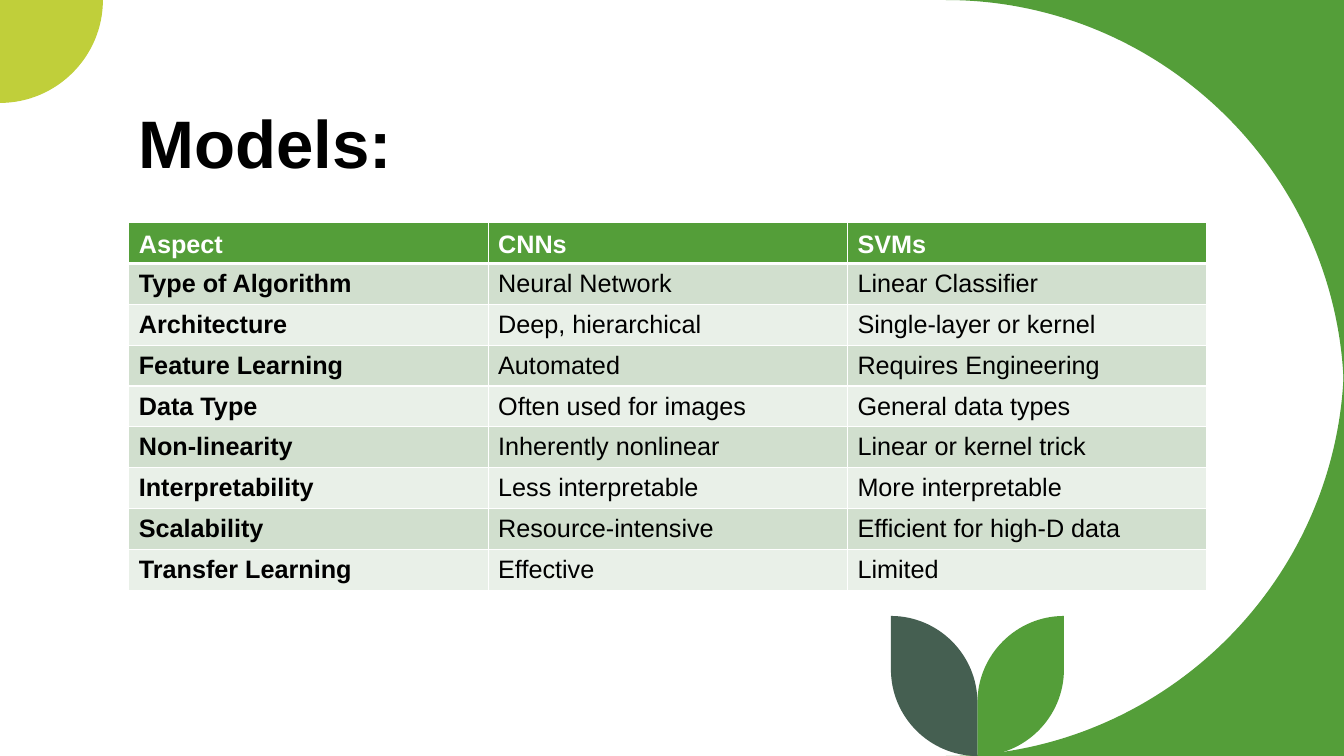
from dataclasses import dataclass

from lxml import etree
from pptx import Presentation
from pptx.dml.color import RGBColor
from pptx.enum.text import MSO_ANCHOR
from pptx.oxml.ns import qn
from pptx.util import Pt

BOTTOM, MIDDLE = MSO_ANCHOR.BOTTOM, MSO_ANCHOR.MIDDLE
PAGE_WIDTH, PAGE_HEIGHT = 960, 540
ARC_PULL = 0.55
ROWS = [
    ("Aspect", "CNNs", "SVMs"),
    ("Type of Algorithm", "Neural Network", "Linear Classifier"),
    ("Architecture", "Deep, hierarchical", "Single-layer or kernel"),
    ("Feature Learning", "Automated", "Requires Engineering"),
    ("Data Type", "Often used for images", "General data types"),
    ("Non-linearity", "Inherently nonlinear", "Linear or kernel trick"),
    ("Interpretability", "Less interpretable", "More interpretable"),
    ("Scalability", "Resource-intensive", "Efficient for high-D data"),
    ("Transfer Learning", "Effective", "Limited"),
]


@dataclass(frozen=True)
class Theme:
    """Colours, font and type sizes of the slide."""
    green: str = "549E39"
    lime: str = "C0CF3A"
    slate: str = "455F51"
    band_dark: str = "D1DFCE"
    band_light: str = "E9F0E8"
    black: str = "000000"
    white: str = "FFFFFF"
    font: str = "Arial"
    title_size: int = 48
    table_size: int = 18


THEME = Theme()


def toward(point, corner):
    """Return the control point that rounds a quarter arc from the point to its corner."""
    return tuple(a + (b - a) * ARC_PULL for a, b in zip(point, corner))


def draw_outline(page, start, segments, color):
    """Draw a filled outline; a segment is (end,) for a line or (corner, end) for a quarter arc."""
    points, curve_starts = [start], []
    for *corners, end in segments:
        for corner in corners:
            curve_starts.append(len(points))
            points += [toward(points[-1], corner), toward(end, corner)]
        points.append(end)
    corners = [(Pt(x), Pt(y)) for x, y in points]
    builder = page.shapes.build_freeform(*corners[0])
    builder.add_line_segments(corners[1:], close=True)
    shape = builder.convert_to_shape()
    steps = list(shape._element.find(".//" + qn("a:path")))
    for index in curve_starts:
        curve = etree.Element(qn("a:cubicBezTo"))
        steps[index].addprevious(curve)
        for step in steps[index:index + 3]:
            curve.append(step[0])
            step.getparent().remove(step)
    shape.shadow.inherit = False
    shape.fill.solid()
    shape.fill.fore_color.rgb = RGBColor.from_string(color)
    shape.line.fill.background()


def draw_corners(page, width, height, radius, disc_radius):
    """Draw the green right-hand corners and the lime quarter disc."""
    for edge, inner in ((0, radius), (height, height - radius)):
        corner = (width, edge)
        draw_outline(page, (width - radius, edge), [(corner, (width, inner)), (corner,)], THEME.green)
    disc_corner = (disc_radius, disc_radius)
    draw_outline(page, (0, 0), [((disc_radius, 0),), (disc_corner, (0, disc_radius))], THEME.lime)


def draw_sprout(page, left, top, width, height):
    """Draw two mirrored leaves that share the middle of the box as their stem."""
    radius, stem, bottom = width / 2, left + width / 2, top + height
    for edge, color in ((left + width, THEME.green), (left, THEME.slate)):
        segments = [
            ((edge, bottom - radius),),
            ((edge, bottom), (stem, bottom)),
            ((stem, top + radius),),
            ((stem, top), (edge, top)),
        ]
        draw_outline(page, (edge, top), segments, color)


def style_font(font, size, color, bold):
    """Apply the theme font with a size, colour and weight."""
    font.name = THEME.font
    font.size = Pt(size)
    font.bold = bold
    font.color.rgb = RGBColor.from_string(color)


def draw_title(page, left, top, width, height):
    """Place the heading at the bottom of its box."""
    box = page.shapes.add_textbox(Pt(left), Pt(top), Pt(width), Pt(height))
    frame = box.text_frame
    frame.word_wrap = True
    frame.vertical_anchor = BOTTOM
    para = frame.paragraphs[0]
    para.text = "Models:"
    para.line_spacing = 0.9
    style_font(para.font, THEME.title_size, THEME.black, True)


def set_borders(cell, bottom):
    """Give a cell white borders, with the bottom width in points."""
    properties = cell._tc.get_or_add_tcPr()
    for side, weight in (("lnL", 1), ("lnR", 1), ("lnT", 1), ("lnB", bottom)):
        line = etree.SubElement(properties, qn(f"a:{side}"), w=str(Pt(weight)))
        fill = etree.SubElement(line, qn("a:solidFill"))
        etree.SubElement(fill, qn("a:srgbClr"), val=THEME.white)


def draw_table(page, left, top, width, height):
    """Draw the comparison table with a header row and banded body rows."""
    table = page.shapes.add_table(
        len(ROWS), len(ROWS[0]), Pt(left), Pt(top), Pt(width), Pt(height)
    ).table
    for column in table.columns:
        column.width = Pt(width / len(ROWS[0]))
    for row_index, texts in enumerate(ROWS):
        table.rows[row_index].height = Pt(height / len(ROWS))
        header = row_index == 0
        band = THEME.band_dark if row_index % 2 else THEME.band_light
        for column_index, text in enumerate(texts):
            cell = table.cell(row_index, column_index)
            set_borders(cell, 3 if header else 1)
            cell.fill.solid()
            cell.fill.fore_color.rgb = RGBColor.from_string(THEME.green if header else band)
            cell.vertical_anchor = BOTTOM if header else MIDDLE
            para = cell.text_frame.paragraphs[0]
            para.text = text
            color = THEME.white if header else THEME.black
            style_font(para.font, THEME.table_size, color, header or column_index == 0)


def main():
    """Build the slide and save the deck."""
    deck = Presentation()
    deck.slide_width, deck.slide_height = Pt(PAGE_WIDTH), Pt(PAGE_HEIGHT)
    page = deck.slides.add_slide(deck.slide_layouts[6])
    draw_corners(page, PAGE_WIDTH, PAGE_HEIGHT, 284.4, 73.5)
    draw_sprout(page, 636.4, 440, 123.6, 100)
    draw_title(page, 92, 30, 770, 104.5)
    draw_table(page, 92, 159, 770, 262.6)
    deck.save("out.pptx")


if __name__ == "__main__":
    main()
